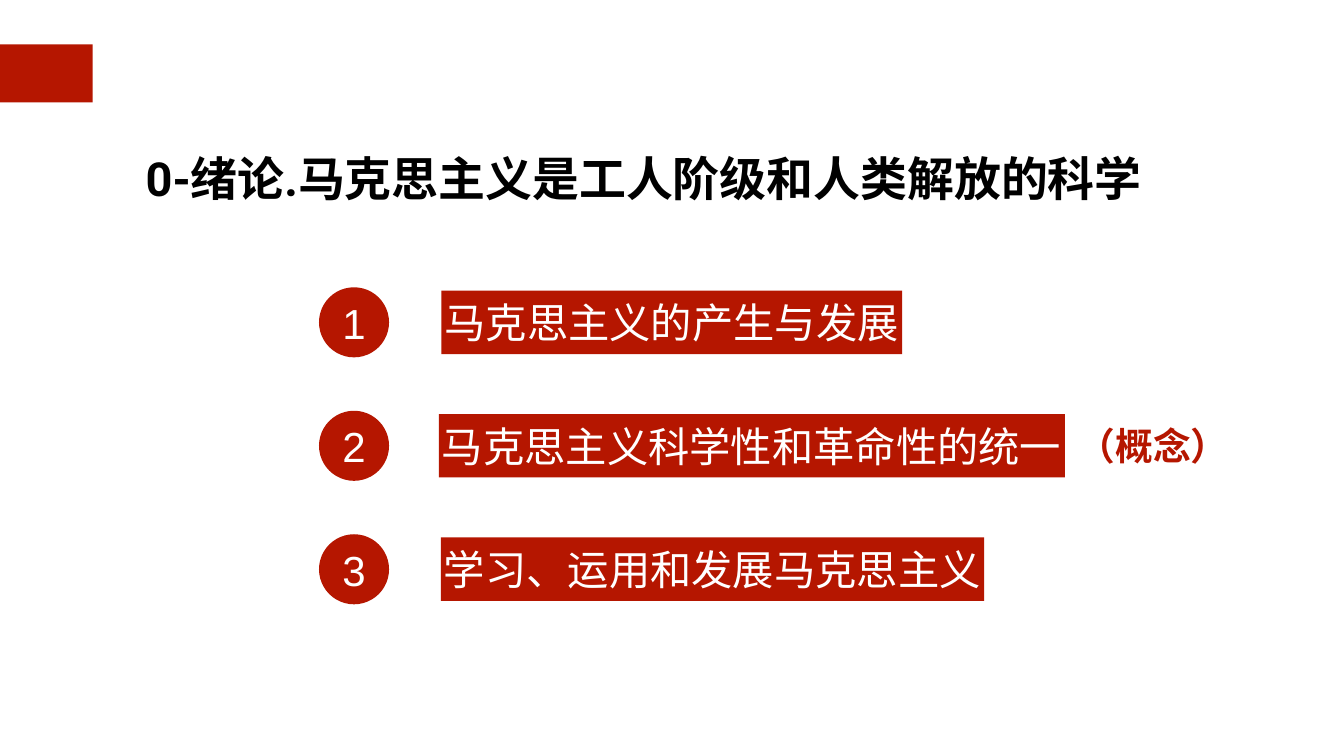
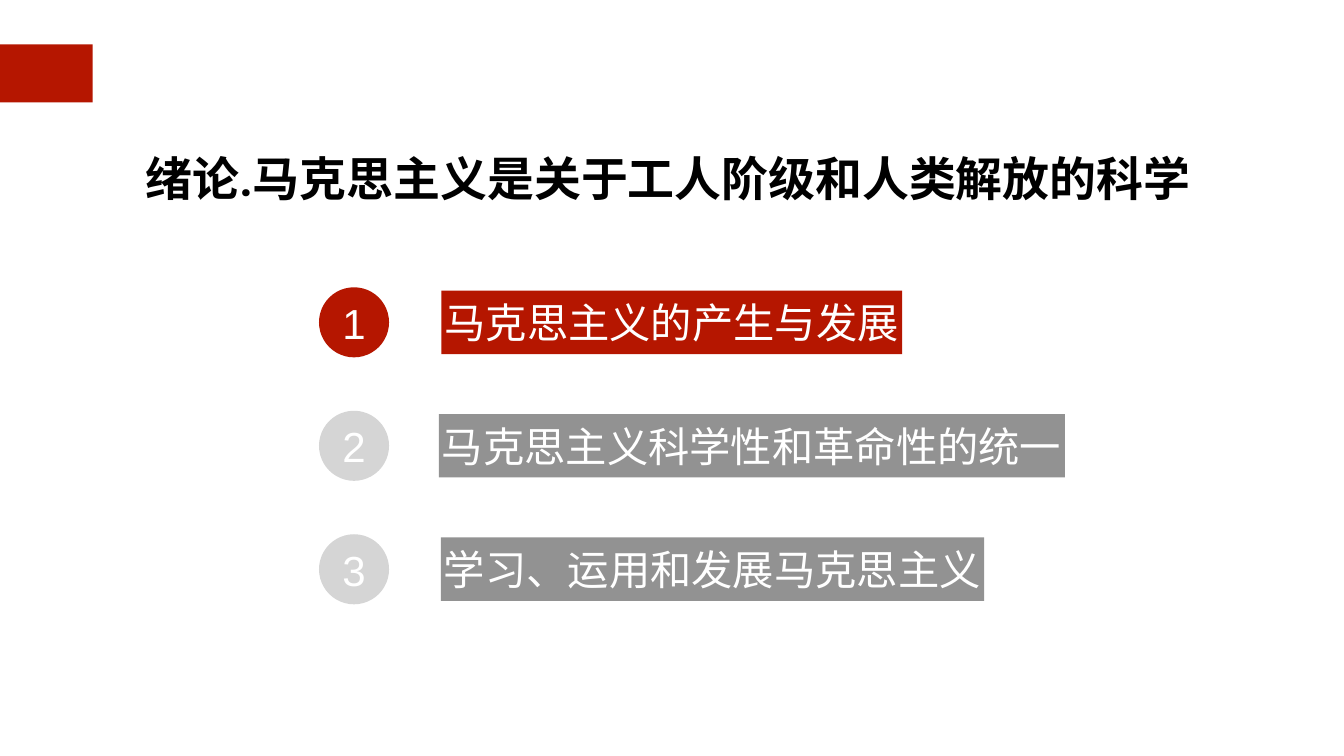
import pptx
import pptx.util
import pptx.dml.color
import pptx.enum.shapes
import pptx.enum.text

Inches = pptx.util.Inches
RGBColor = pptx.dml.color.RGBColor
MSO_SHAPE = pptx.enum.shapes.MSO_SHAPE
PP_ALIGN = pptx.enum.text.PP_ALIGN
MSO_AUTO_SIZE = pptx.enum.text.MSO_AUTO_SIZE

RED = RGBColor(0xB5, 0x16, 0x00)
GREY = RGBColor(0x92, 0x92, 0x92)
PALE_GREY = RGBColor(0xD5, 0xD5, 0xD5)
WHITE = RGBColor(0xFF, 0xFF, 0xFF)
BLACK = RGBColor(0x00, 0x00, 0x00)

TITLE_FONT = "Roboto"
BODY_FONT = "Arial"
INSET = Inches(0.06)

# Agenda: topic, left edge and width of its bar
TOPICS = [
    ("马克思主义的产生与发展", 8.76, 9.14),
    ("马克思主义科学性和革命性的统一", 8.71, 12.42),
    ("学习、运用和发展马克思主义", 8.75, 10.78),
]
AGENDA_LEFT, AGENDA_TOP = Inches(6.33), Inches(5.7)
ROW_PITCH = Inches(2.45)
BADGE_SIZE = Inches(1.39)
BAR_HEIGHT = Inches(1.26)


def write(shape, text, size, color, font=BODY_FONT, bold=False,
          align=PP_ALIGN.CENTER, inset=INSET, wrap=False,
          fit=MSO_AUTO_SIZE.SHAPE_TO_FIT_TEXT):
    frame = shape.text_frame
    frame.margin_left = frame.margin_right = inset
    frame.margin_top = frame.margin_bottom = inset
    frame.vertical_anchor = pptx.enum.text.MSO_ANCHOR.MIDDLE
    frame.word_wrap = wrap
    frame.auto_size = fit
    paragraph = frame.paragraphs[0]
    paragraph.text = text
    paragraph.alignment = align
    paragraph.font.name = font
    paragraph.font.size = pptx.util.Pt(size)
    paragraph.font.bold = bold
    paragraph.font.color.rgb = color
    return paragraph


def add_filled(slide, preset, left, top, width, height, color):
    shape = slide.shapes.add_shape(preset, left, top, width, height)
    shape.shadow.inherit = False
    shape.fill.solid()
    shape.fill.fore_color.rgb = color
    shape.line.fill.background()
    return shape


def add_header(slide, title, width):
    # Red tab at the left edge
    add_filled(slide, MSO_SHAPE.RECTANGLE, Inches(-0.03), Inches(0.88),
               Inches(1.87), Inches(1.15), RED)
    # Title
    heading = slide.shapes.add_textbox(Inches(2.83), Inches(2.46),
                                       width, Inches(1.59))
    line = write(heading, title, 67, BLACK, TITLE_FONT, bold=True,
                 align=PP_ALIGN.LEFT, wrap=True)
    line.line_spacing = 1.5


def add_topic(slide, number, top, active):
    topic, bar_left, bar_width = TOPICS[number - 1]
    # Numbered badge
    badge = add_filled(slide, MSO_SHAPE.OVAL, AGENDA_LEFT, top, BADGE_SIZE,
                       BADGE_SIZE, RED if active else PALE_GREY)
    write(badge, str(number), 60, WHITE, inset=0, wrap=True,
          fit=MSO_AUTO_SIZE.NONE)
    # Topic bar, centred on the badge
    bar = add_filled(slide, MSO_SHAPE.RECTANGLE, Inches(bar_left),
                     top + (BADGE_SIZE - BAR_HEIGHT) // 2, Inches(bar_width),
                     BAR_HEIGHT, RED if active else GREY)
    write(bar, topic, 59, WHITE)


def add_agenda_slide(deck, title, title_width, active_numbers):
    slide = deck.slides.add_slide(deck.slide_layouts[6])
    add_header(slide, title, title_width)
    for row in range(len(TOPICS)):
        number = row + 1
        add_topic(slide, number, AGENDA_TOP + row * ROW_PITCH,
                  number in active_numbers)
    return slide


def add_remark(slide, text, row):
    height = Inches(1.15)
    top = AGENDA_TOP + row * ROW_PITCH + (BADGE_SIZE - height) // 2
    remark = slide.shapes.add_textbox(Inches(21.32), top, Inches(3.12), height)
    write(remark, text, 54, RED, bold=True)


def main():
    deck = pptx.Presentation()
    deck.slide_width, deck.slide_height = Inches(26.67), Inches(15)

    # Overview: all topics highlighted
    overview = add_agenda_slide(deck, "0-绪论.马克思主义是工人阶级和人类解放的科学",
                                Inches(20.68), {1, 2, 3})
    add_remark(overview, "（概念）", row=1)

    # Start of the first topic
    add_agenda_slide(deck, "绪论.马克思主义是关于工人阶级和人类解放的科学",
                     Inches(21.05), {1})

    deck.save("out.pptx")


if __name__ == "__main__":
    main()
